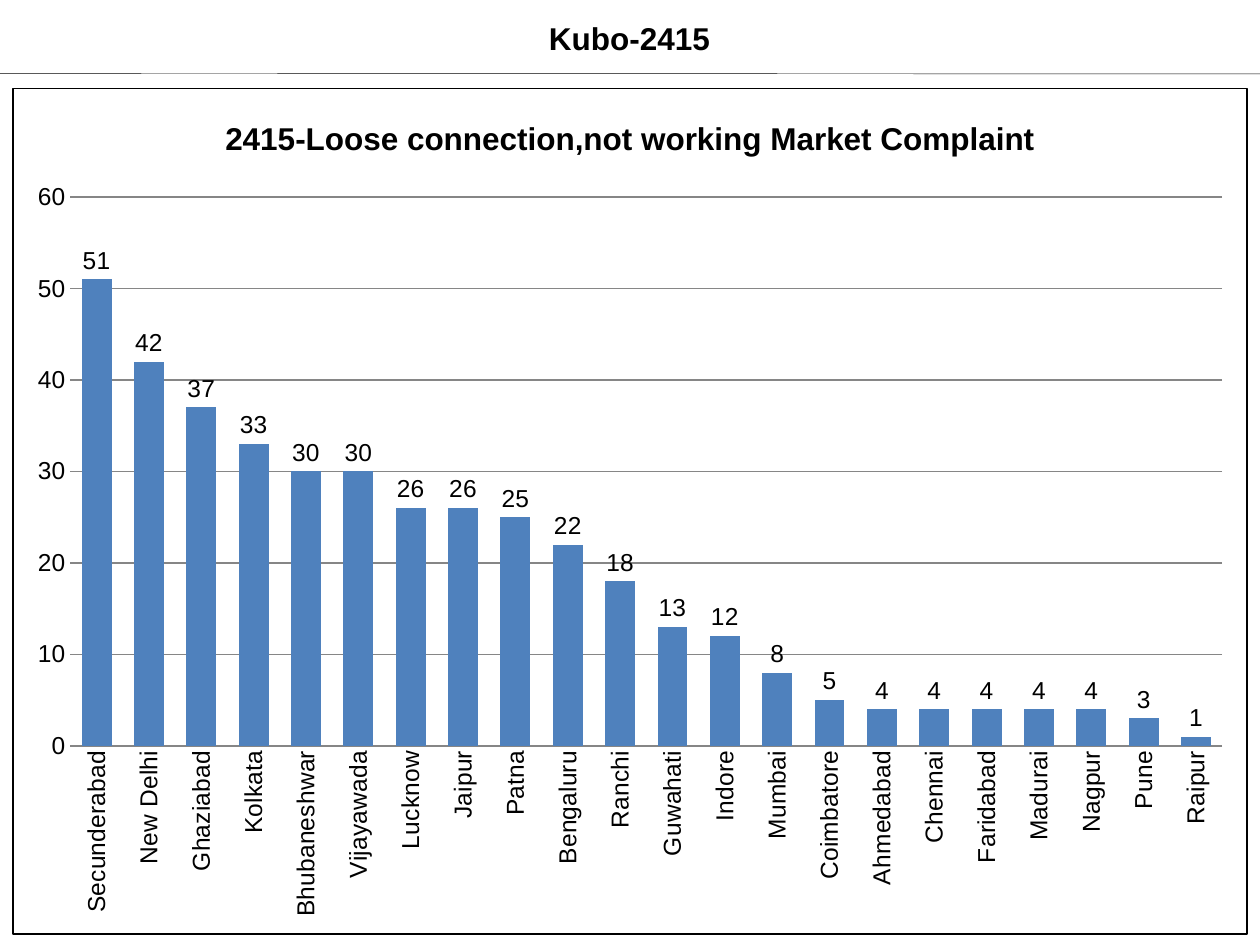
from lxml import etree
from pptx import Presentation
from pptx import util as u
from pptx.chart.data import CategoryChartData
from pptx.dml.color import RGBColor
from pptx.enum import chart as ch, shapes, text
from pptx.oxml import parse_xml
from pptx.oxml.ns import nsdecls, qn

COMPLAINTS = {
    "Secunderabad": 51, "New Delhi": 42, "Ghaziabad": 37, "Kolkata": 33,
    "Bhubaneshwar": 30, "Vijayawada": 30, "Lucknow": 26, "Jaipur": 26,
    "Patna": 25, "Bengaluru": 22, "Ranchi": 18, "Guwahati": 13,
    "Indore": 12, "Mumbai": 8, "Coimbatore": 5, "Ahmedabad": 4,
    "Chennai": 4, "Faridabad": 4, "Madurai": 4, "Nagpur": 4,
    "Pune": 3, "Raipur": 1,
}


def rgb(value):
    return RGBColor.from_string(value)


class SlideBuilder:
    FONT, INK, BAR, GRID = "Arial", "000000", "4F81BD", "868686"
    HEADING, LABEL = 18, 14

    def __init__(self, prs):
        self.s = prs.slides.add_slide(prs.slide_layouts[5])

    def style(self, font, size, bold=False):
        font.name, font.size, font.bold = self.FONT, u.Pt(size), bold
        font.color.rgb = rgb(self.INK)

    def title(self, words, left, top, width, height):
        sp = self.s.shapes.title
        sp.left, sp.top, sp.width, sp.height = map(u.Cm, (left, top, width, height))
        tf = sp.text_frame
        tf.word_wrap = False
        tf.auto_size = text.MSO_AUTO_SIZE.SHAPE_TO_FIT_TEXT
        tf.vertical_anchor = text.MSO_ANCHOR.TOP
        p = tf.paragraphs[0]
        p.alignment = text.PP_ALIGN.CENTER
        r = p.add_run()
        r.text = words
        self.style(r.font, self.HEADING, True)

    def rule(self, x1, y1, x2, y2):
        line = self.s.shapes.add_connector(
            shapes.MSO_CONNECTOR.STRAIGHT, *map(u.Cm, (x1, y1, x2, y2)))
        line.line.color.rgb = rgb(self.INK)
        line.line.width = u.Pt(0.25)
        etree.SubElement(line._element.spPr, qn("a:effectLst"))

    def column_chart(self, heading, values, left, top, width, height):
        data = CategoryChartData()
        data.categories = list(values)
        data.add_series("Series 1", list(values.values()))
        chart = self.s.shapes.add_chart(
            ch.XL_CHART_TYPE.COLUMN_CLUSTERED,
            *map(u.Cm, (left, top, width, height)), data).chart
        self.style(chart.font, self.LABEL)
        chart.has_legend = False
        chart.has_title = True
        r = chart.chart_title.text_frame.paragraphs[0].add_run()
        r.text = heading
        self.style(r.font, self.HEADING, True)
        chart.chart_title.include_in_layout = False
        self.columns(chart.plots[0])
        self.axes(chart)
        self.border(chart)

    def columns(self, plot):
        plot.gap_width, plot.overlap = 75, -25
        plot.vary_by_categories = False
        fill = plot.series[0].format.fill
        fill.solid()
        fill.fore_color.rgb = rgb(self.BAR)
        plot.has_data_labels = True
        labels = plot.data_labels
        labels.show_value = True
        labels.position = ch.XL_LABEL_POSITION.OUTSIDE_END
        self.style(labels.font, self.LABEL)

    def axes(self, chart):
        cat, val = chart.category_axis, chart.value_axis
        for axis in (cat, val):
            axis.major_tick_mark = axis.minor_tick_mark = ch.XL_TICK_MARK.NONE
            self.style(axis.tick_labels.font, self.LABEL)
        cat._element.find(qn("c:txPr")).find(qn("a:bodyPr")).set("rot", "-5400000")
        val.minimum_scale, val.maximum_scale, val.major_unit = 0, 60, 10
        val.has_major_gridlines = True
        for line in (cat.format.line, val.major_gridlines.format.line):
            line.color.rgb = rgb(self.GRID)
            line.width = u.Pt(0.75)
        val.format.line.fill.background()

    def border(self, chart):
        """Outline the whole chart area, which has no public property."""
        chart._chartSpace.find(qn("c:chart")).addnext(parse_xml(
            f'<c:spPr {nsdecls("c", "a")}><a:noFill/><a:ln w="{u.Pt(0.75)}">'
            f'<a:solidFill><a:srgbClr val="{self.INK}"/></a:solidFill>'
            '</a:ln></c:spPr>'))


def main():
    prs = Presentation()
    prs.slide_width, prs.slide_height = u.Cm(25.4), u.Cm(19.05)
    slide = SlideBuilder(prs)
    slide.rule(0, 1.48, 25.4, 1.49)
    slide.title("Kubo-2415", 10.8, 0.25, 3.78, 1.03)
    slide.column_chart("2415-Loose connection,not working Market Complaint",
                       COMPLAINTS, 0.25, 1.77, 24.9, 17.07)
    prs.save("out.pptx")


if __name__ == "__main__":
    main()
